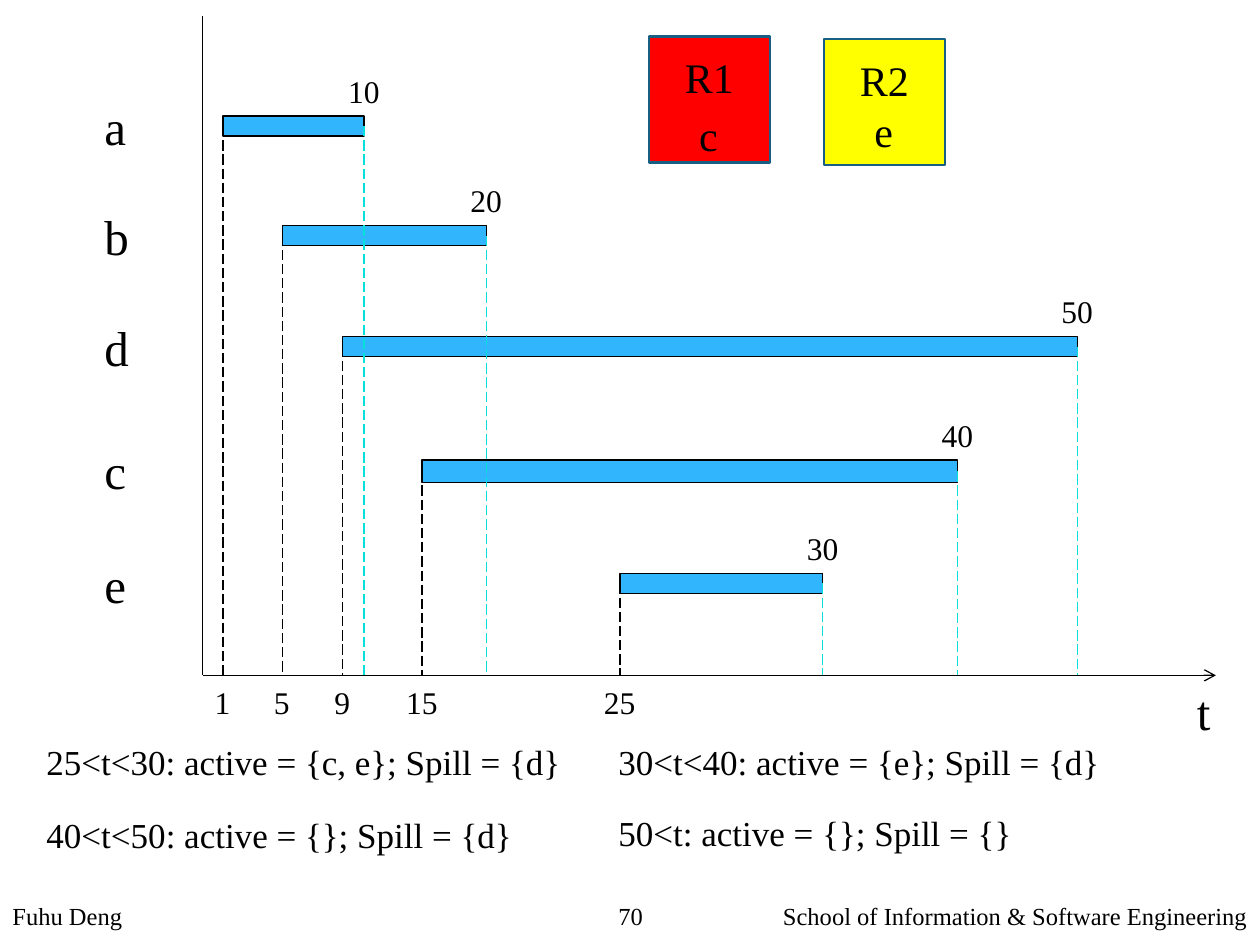
from lxml.etree import SubElement
from pptx import Presentation
from pptx.dml.color import RGBColor
from pptx.enum.dml import MSO_LINE
from pptx.enum.shapes import MSO_CONNECTOR, MSO_SHAPE
from pptx.enum.text import MSO_ANCHOR, PP_ALIGN
from pptx.oxml.ns import qn
from pptx.util import Inches, Pt

THEME = {
    "font": "Times New Roman",
    "ink": "000000", "bar": "31B6FD", "end": "05E0DB", "border": "195F84",
    "footer": 14, "tick": 18, "note": 20, "register": 24, "variable": 28,
    "thin": 0.75, "thick": 1.25,
}

INTERVALS = [
    ("a", 1, 10, 1.77, 2.89, 0.92, 0.16),
    ("b", 5, 20, 2.24, 3.86, 1.79, 0.16),
    ("d", 9, 50, 2.72, 8.55, 2.67, 0.16),
    ("c", 15, 40, 3.35, 7.6, 3.65, 0.18),
    ("e", 25, 30, 4.92, 6.53, 4.55, 0.16),
]
REGISTERS = [
    ("R1", "c", "FF0000", 5.15, 0.29, 0.82),
    ("R2", "e", "FFFF00", 6.54, 0.31, 0.79),
]
NOTES = [
    ("25<t<30: active = {c, e}; Spill = {d}", 0.27, 5.83, 4.33),
    ("30<t<40: active = {e}; Spill = {d}", 4.81, 5.83, 4.06),
    ("40<t<50: active = {}; Spill = {d}", 0.27, 6.41, 3.92),
    ("50<t: active = {}; Spill = {}", 4.81, 6.39, 3.34),
]
FOOTERS = [
    ("Fuhu Deng", 0, 4.69, PP_ALIGN.LEFT),
    ("70", 4.69, 0.63, PP_ALIGN.CENTER),
    ("School of Information & Software Engineering", 5.31, 4.69, PP_ALIGN.RIGHT),
]
AXIS_X, AXIS_Y, AXIS_TOP, AXIS_RIGHT = 1.61, 5.36, 0.13, 9.65
REGISTER_WIDTH, REGISTER_HEIGHT = 0.96, 1


def colour(name):
    return RGBColor.from_string(THEME.get(name, name))


def write(shape, text, size, align=PP_ALIGN.LEFT):
    para = shape.text_frame.paragraphs[0]
    para.alignment = align
    span = para.add_run()
    span.text = text
    formats = {"name": THEME["font"], "size": Pt(THEME[size])}
    for key, value in formats.items():
        setattr(span.font, key, value)
    span.font.color.rgb = colour("ink")


def add_text(page, text, size, left, top, width, height,
             align=PP_ALIGN.LEFT, wrap=False):
    box = page.shapes.add_textbox(*map(Inches, (left, top, width, height)))
    box.text_frame.word_wrap = wrap
    write(box, text, size, align)


def add_tick(page, number, centre, top):
    width = 0.33 if number < 10 else 0.45
    add_text(page, str(number), "tick", centre - width / 2, top, width, 0.4)


def add_box(page, left, top, width, height, fill, line, weight):
    box = page.shapes.add_shape(
        MSO_SHAPE.RECTANGLE, *map(Inches, (left, top, width, height)))
    box.shadow.inherit = False
    box.fill.solid()
    box.fill.fore_color.rgb = colour(fill)
    box.line.color.rgb = colour(line)
    box.line.width = Pt(THEME[weight])
    return box


def add_line(page, start, end, ink="ink"):
    line = page.shapes.add_connector(
        MSO_CONNECTOR.STRAIGHT, *map(Inches, start + end))
    line.line.color.rgb = colour(ink)
    line.line.width = Pt(THEME["thin"])
    SubElement(line._element.spPr, qn("a:effectLst"))
    return line


def add_drop(page, bar, side, x, y, ink):
    drop = add_line(page, (x, y), (x, AXIS_Y), ink)
    drop.line.dash_style = MSO_LINE.LONG_DASH
    drop.begin_connect(bar, side)


def draw_chart(page):
    bars = [add_box(page, left, top, right - left, height, "bar", "ink", "thin")
            for _, _, _, left, right, top, height in INTERVALS]
    time_axis = add_line(page, (AXIS_X, AXIS_Y), (AXIS_RIGHT, AXIS_Y))
    SubElement(time_axis.line._get_or_add_ln(), qn("a:tailEnd"), type="arrow")
    add_line(page, (AXIS_X, AXIS_Y), (AXIS_X, AXIS_TOP))
    add_text(page, "t", "variable", 9.4, AXIS_Y, 0.31, 0.57)
    for bar, (name, start, end, left, right, top, height) in zip(bars, INTERVALS):
        middle = top + height / 2
        add_text(page, name, "variable", 0.73, top - 0.2, 0.4, 0.57)
        add_drop(page, bar, 1, left, middle, "ink")
        add_drop(page, bar, 3, right, middle, "end")
        add_tick(page, start, left, AXIS_Y + 0.01)
        add_tick(page, end, right, top - 0.4)


def draw_registers(page):
    for name, held, fill, left, top, held_top in REGISTERS:
        box = add_box(page, left, top, REGISTER_WIDTH, REGISTER_HEIGHT,
                      fill, "border", "thick")
        box.text_frame.vertical_anchor = MSO_ANCHOR.TOP
        box.text_frame.margin_top = Inches(0.12)
        write(box, name, "register", PP_ALIGN.CENTER)
        add_text(page, held, "register", left + 0.3, held_top, 0.35, 0.5)


def main():
    deck = Presentation()
    deck.slide_width, deck.slide_height = Inches(10), Inches(7.5)
    page = deck.slides.add_slide(deck.slide_layouts[6])
    for text, left, width, align in FOOTERS:
        add_text(page, text, "footer", left, 7.1, width, 0.4, align, True)
    draw_chart(page)
    draw_registers(page)
    for text, left, top, width in NOTES:
        add_text(page, text, "note", left, top, width, 0.44)
    deck.save("out.pptx")


if __name__ == "__main__":
    main()
